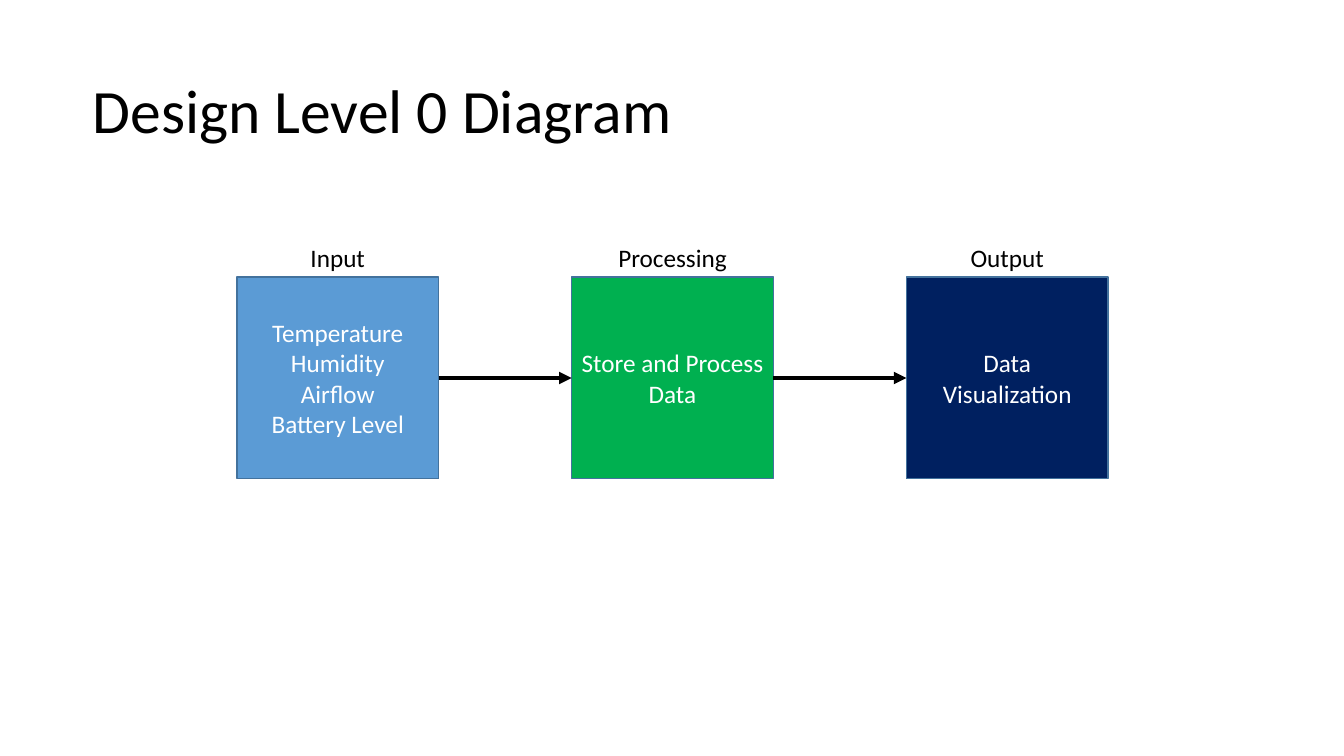
from dataclasses import dataclass
from itertools import pairwise

import pptx
import pptx.dml.color
import pptx.enum.shapes
import pptx.enum.text
import pptx.oxml
import pptx.oxml.ns
import pptx.util

PX = 9144  # EMU per px, 100 px to the inch
STAGE_LEFT, STAGE_TOP, STAGE_SIZE, STAGE_PITCH = 235, 275, 200, 332
LABEL_HEIGHT = 40
LEFT_SITE, RIGHT_SITE = 1, 3


@dataclass(frozen=True)
class Theme:
    font: str = "Calibri"
    title_size: int = 44
    body_size: int = 18
    ink: str = "000000"
    paper: str = "FFFFFF"
    outline: str = "43729D"
    input_fill: str = "5B9BD5"
    processing_fill: str = "00B050"
    output_fill: str = "002060"


@dataclass(frozen=True)
class Stage:
    label: str
    label_width: int
    lines: tuple[str, ...]
    fill: str


THEME = Theme()
STAGES = (
    Stage("Input", 78, ("Temperature", "Humidity", "Airflow", "Battery Level"), THEME.input_fill),
    Stage("Processing", 132, ("Store and Process Data",), THEME.processing_fill),
    Stage("Output", 96, ("Data Visualization",), THEME.output_fill),
)


def px(length: int) -> pptx.util.Emu:
    return pptx.util.Emu(length * PX)


def rgb(colour: str) -> pptx.dml.color.RGBColor:
    return pptx.dml.color.RGBColor.from_string(colour)


def write_lines(text_frame, lines: tuple[str, ...], size: int, colour: str,
                alignment=pptx.enum.text.PP_ALIGN.CENTER) -> None:
    for index, line in enumerate(lines):
        paragraph = text_frame.add_paragraph() if index else text_frame.paragraphs[0]
        paragraph.alignment = alignment
        run = paragraph.add_run()
        run.text = line
        run.font.name = THEME.font
        run.font.size = pptx.util.Pt(size)
        run.font.color.rgb = rgb(colour)


def add_title(slide, text: str) -> None:
    title = slide.shapes.title
    title.left, title.top, title.width, title.height = px(92), px(40), px(1150), px(145)
    frame = title.text_frame
    frame.margin_left = frame.margin_right = frame.margin_top = frame.margin_bottom = 0
    frame.vertical_anchor = pptx.enum.text.MSO_ANCHOR.MIDDLE
    frame.auto_size = pptx.enum.text.MSO_AUTO_SIZE.NONE
    write_lines(frame, (text,), THEME.title_size, THEME.ink, pptx.enum.text.PP_ALIGN.LEFT)
    frame.paragraphs[0].line_spacing = 0.9


def add_stage(slide, stage: Stage, left: int):
    shape = slide.shapes.add_shape(
        pptx.enum.shapes.MSO_SHAPE.FLOWCHART_PROCESS,
        px(left), px(STAGE_TOP), px(STAGE_SIZE), px(STAGE_SIZE))
    shape.shadow.inherit = False
    shape.fill.solid()
    shape.fill.fore_color.rgb = rgb(stage.fill)
    shape.line.color.rgb = rgb(THEME.outline)
    shape.line.width = pptx.util.Pt(1)
    shape.text_frame.word_wrap = True
    shape.text_frame.vertical_anchor = pptx.enum.text.MSO_ANCHOR.MIDDLE
    write_lines(shape.text_frame, stage.lines, THEME.body_size, THEME.paper)
    return shape


def add_label(slide, stage: Stage, left: int) -> None:
    label_left = left + (STAGE_SIZE - stage.label_width) // 2
    label = slide.shapes.add_textbox(
        px(label_left), px(STAGE_TOP - LABEL_HEIGHT), px(stage.label_width), px(LABEL_HEIGHT))
    label.text_frame.word_wrap = False
    label.text_frame.auto_size = pptx.enum.text.MSO_AUTO_SIZE.SHAPE_TO_FIT_TEXT
    write_lines(label.text_frame, (stage.label,), THEME.body_size, THEME.ink)


def add_arrow(slide, source, target) -> None:
    arrow = slide.shapes.add_connector(pptx.enum.shapes.MSO_CONNECTOR.STRAIGHT, 0, 0, 0, 0)
    arrow.begin_connect(source, RIGHT_SITE)
    arrow.end_connect(target, LEFT_SITE)
    arrow.line.color.rgb = rgb(THEME.ink)
    arrow.line.width = pptx.util.Pt(3)
    # Arrowhead at the target, no shadow
    line = arrow.line._get_or_add_ln()
    namespace = pptx.oxml.ns.nsdecls("a")
    line.append(pptx.oxml.parse_xml(f'<a:tailEnd {namespace} type="triangle"/>'))
    line.addnext(pptx.oxml.parse_xml(f"<a:effectLst {namespace}/>"))


def main() -> None:
    presentation = pptx.Presentation()
    presentation.slide_width, presentation.slide_height = px(1333), px(750)
    title_only = presentation.slide_layouts.get_by_name("Title Only")
    slide = presentation.slides.add_slide(title_only)
    add_title(slide, "Design Level 0 Diagram")

    # Labelled stages at an equal pitch
    stage_shapes = []
    for index, stage in enumerate(STAGES):
        left = STAGE_LEFT + index * STAGE_PITCH
        stage_shapes.append(add_stage(slide, stage, left))
        add_label(slide, stage, left)

    # Flow from each stage to the next
    for source, target in pairwise(stage_shapes):
        add_arrow(slide, source, target)

    presentation.save("out.pptx")


if __name__ == "__main__":
    main()
